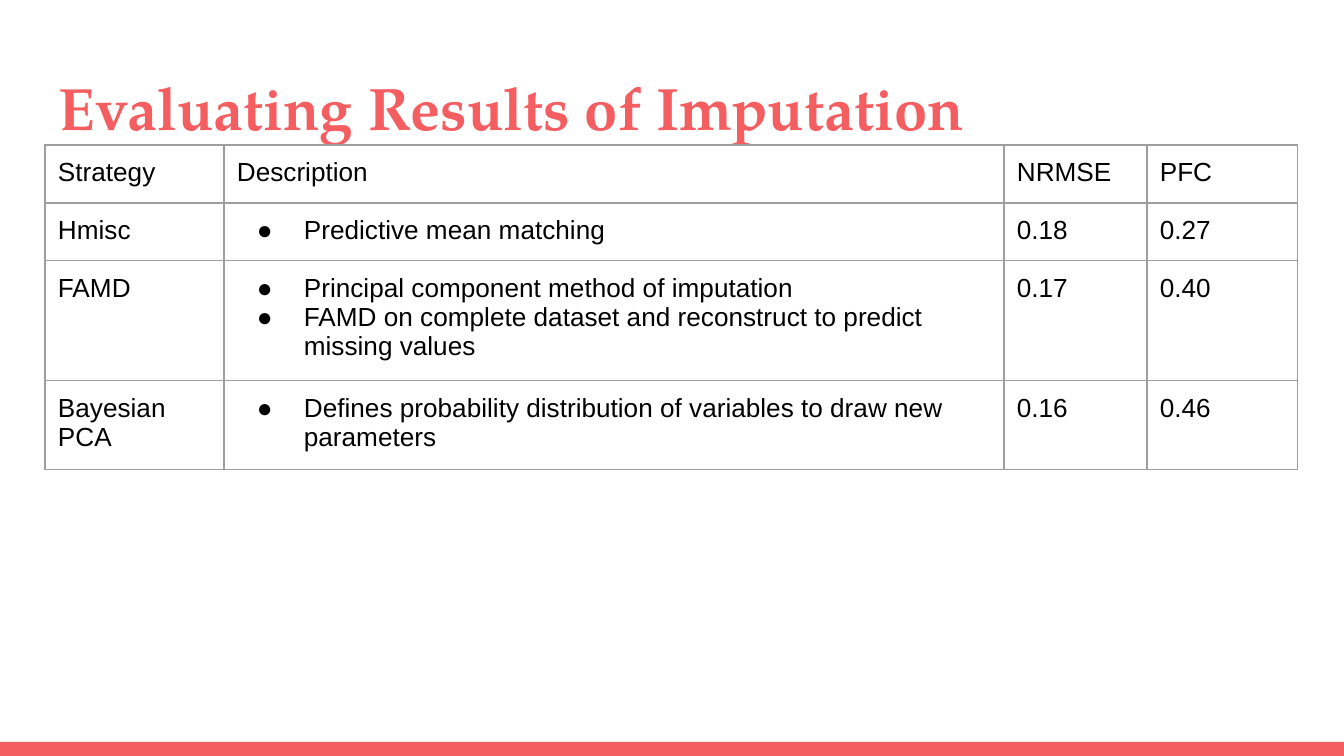
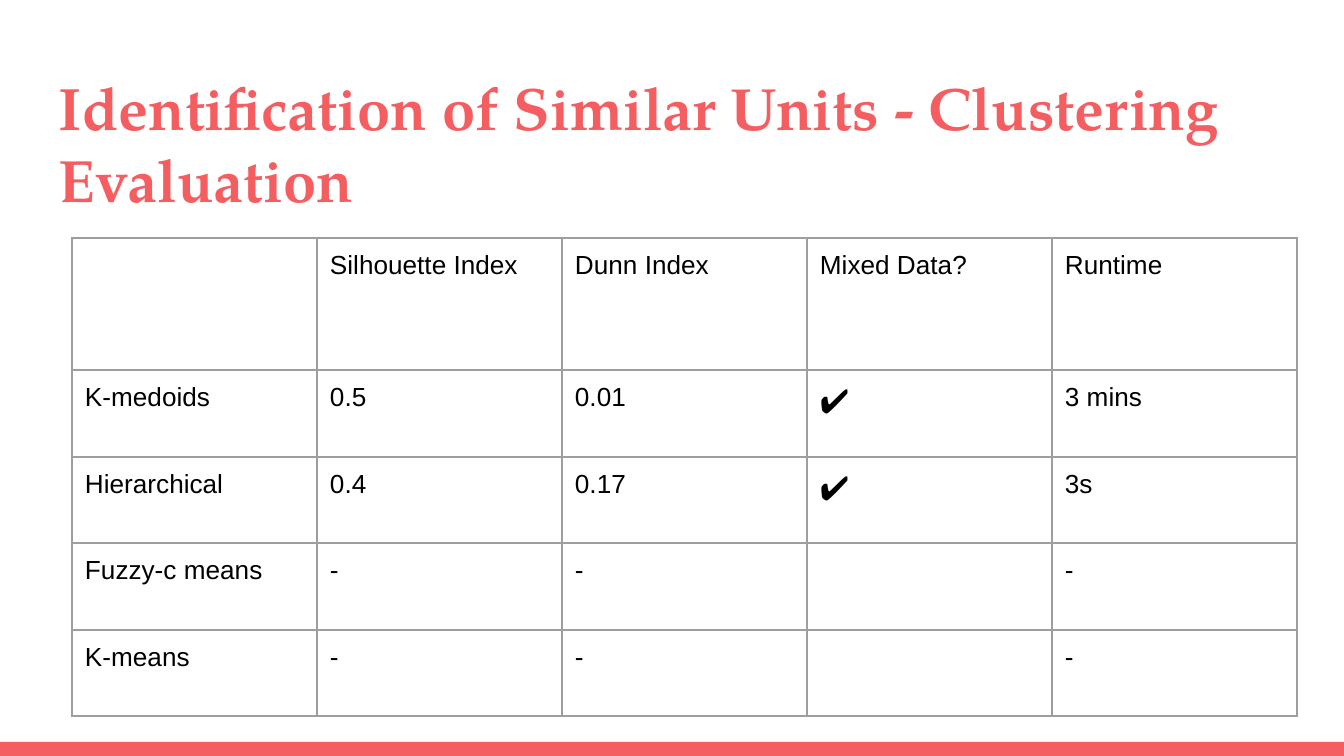
from lxml import etree
from pptx import Presentation
from pptx.dml.color import RGBColor
from pptx.enum import shapes, text
from pptx.oxml import ns
from pptx.util import Emu, Pt

WIDTH, HEIGHT = 1344, 756
SCALE = 9144000 / WIDTH
CORAL, BLACK, GREY, WHITE = "F55E61", "000000", "9E9E9E", "FFFFFF"
TITLE_FONT, BODY_FONT = "TeX Gyre Pagella", "Arial"
TITLE_BOX = (46, 58, 1252, 91)
BAND_BOX = (0, 742, WIDTH, 14)
INSET = 13
CHECK = "✔"

IMPUTATION_ROWS = [
    ["Strategy", "Description", "NRMSE", "PFC"],
    ["Hmisc", ["Predictive mean matching"], "0.18", "0.27"],
    ["FAMD", ["Principal component method of imputation",
              "FAMD on complete dataset and reconstruct to predict missing values"],
     "0.17", "0.40"],
    ["Bayesian PCA",
     ["Defines probability distribution of variables to draw new parameters"],
     "0.16", "0.46"],
]
CLUSTERING_ROWS = [
    ["", "Silhouette Index", "Dunn Index", "Mixed Data?", "Runtime"],
    ["K-medoids", "0.5", "0.01", CHECK, "3 mins"],
    ["Hierarchical", "0.4", "0.17", CHECK, "3s"],
    ["Fuzzy-c means", "-", "-", "", "-"],
    ["K-means", "-", "-", "", "-"],
]


def px(length):
    return Emu(round(length * SCALE))


def color(value):
    return RGBColor.from_string(value)


def add_span(para, words, font, size, fill, bold=False):
    span = para.add_run()
    span.text = words
    span.font.name = font
    span.font.size = Pt(size)
    span.font.bold = bold
    span.font.color.rgb = color(fill)


def set_insets(target):
    target.margin_left = target.margin_right = px(INSET)
    target.margin_top = target.margin_bottom = px(INSET)


def add_bullet(para):
    properties = para._p.get_or_add_pPr()
    properties.set("marL", str(px(67)))
    properties.set("indent", str(-px(47)))
    tint = etree.SubElement(properties, ns.qn("a:buClr"))
    etree.SubElement(tint, ns.qn("a:srgbClr"), val=BLACK)
    etree.SubElement(properties, ns.qn("a:buFont"), typeface=BODY_FONT)
    etree.SubElement(properties, ns.qn("a:buChar"), char="●")


def add_borders(cell):
    properties = cell._tc.get_or_add_tcPr()
    for index, side in enumerate(("lnL", "lnR", "lnT", "lnB")):
        line = etree.Element(ns.qn("a:" + side), w=str(Pt(0.75)))
        fill = etree.SubElement(line, ns.qn("a:solidFill"))
        etree.SubElement(fill, ns.qn("a:srgbClr"), val=GREY)
        properties.insert(index, line)


def fill_cell(cell, content):
    cell.fill.background()
    add_borders(cell)
    set_insets(cell)
    bulleted = isinstance(content, list)
    for index, words in enumerate(content if bulleted else [content]):
        frame = cell.text_frame
        para = frame.add_paragraph() if index else frame.paragraphs[0]
        if bulleted:
            add_bullet(para)
        if words:
            add_span(para, words, BODY_FONT, 18 if words == CHECK else 14, BLACK)


def add_grid(page, left, top, widths, heights, rows):
    frame = page.shapes.add_table(len(heights), len(widths), px(left), px(top),
                                  px(sum(widths)), px(sum(heights)))
    table = frame.table
    table.first_row = table.horz_banding = False
    for column, width in zip(table.columns, widths):
        column.width = px(width)
    for row, height, contents in zip(table.rows, heights, rows):
        row.height = px(height)
        for cell, content in zip(row.cells, contents):
            fill_cell(cell, content)


def add_band(page, box):
    band = page.shapes.add_shape(shapes.MSO_SHAPE.RECTANGLE, *map(px, box))
    band.shadow.inherit = False
    band.fill.solid()
    band.fill.fore_color.rgb = color(CORAL)
    band.line.fill.background()


def add_title(page, box, words):
    frame = page.shapes.add_textbox(*map(px, box)).text_frame
    frame.word_wrap = True
    frame.vertical_anchor = text.MSO_ANCHOR.TOP
    set_insets(frame)
    add_span(frame.paragraphs[0], words, TITLE_FONT, 32, CORAL, bold=True)


def add_table_page(deck, title, left, top, widths, heights, rows):
    page = deck.slides.add_slide(deck.slide_layouts[6])
    page.background.fill.solid()
    page.background.fill.fore_color.rgb = color(WHITE)
    add_band(page, BAND_BOX)
    add_title(page, TITLE_BOX, title)
    add_grid(page, left, top, widths, heights, rows)


def main():
    deck = Presentation()
    deck.slide_width, deck.slide_height = px(WIDTH), px(HEIGHT)
    add_table_page(deck, "Evaluating Results of Imputation", 45, 145,
                   [179, 780, 143, 151], [58, 56, 115, 86], IMPUTATION_ROWS)
    add_table_page(deck, "Identification of Similar Units - Clustering Evaluation",
                   72, 238, [245] * 5, [132, 87, 86, 87, 86], CLUSTERING_ROWS)
    deck.save("out.pptx")


if __name__ == "__main__":
    main()
